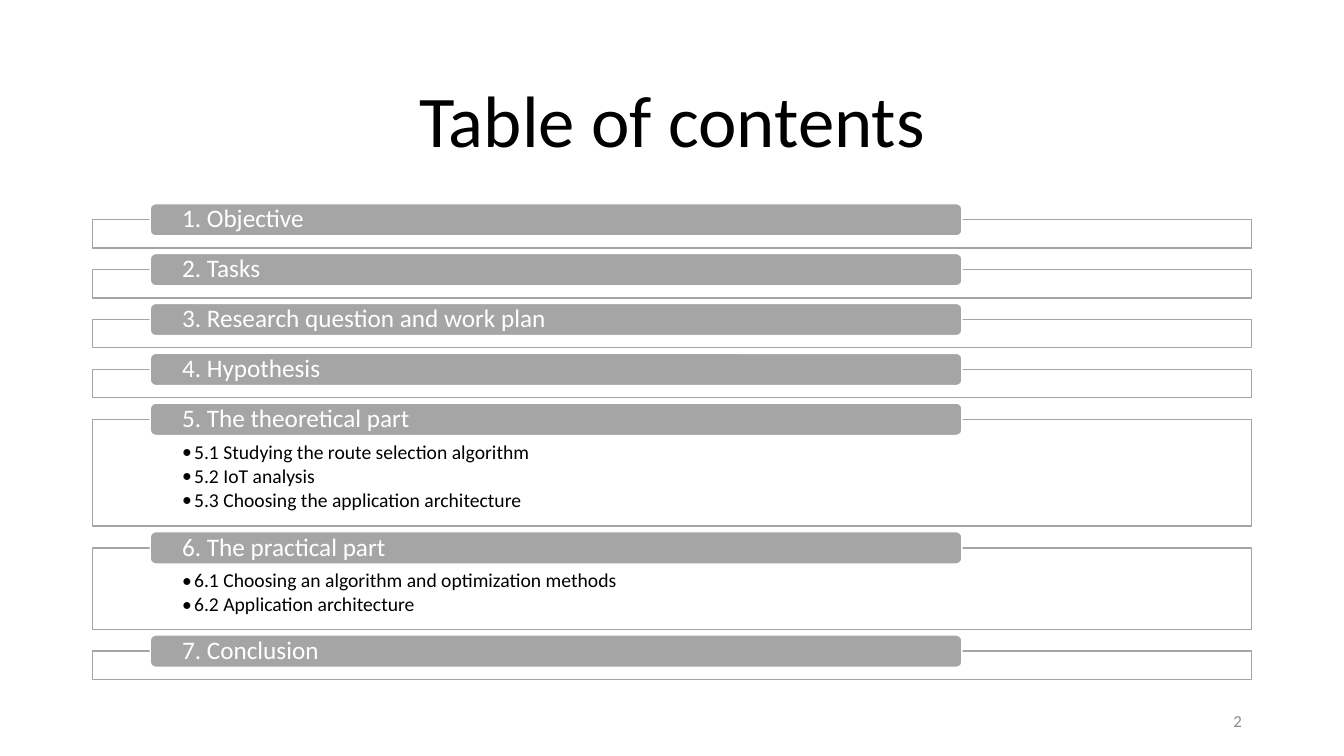
from dataclasses import dataclass

import pptx
import pptx.dml.color
import pptx.enum.shapes
import pptx.enum.text
import pptx.oxml
import pptx.oxml.ns
import pptx.util

Inches = pptx.util.Inches
Pt = pptx.util.Pt
RGBColor = pptx.dml.color.RGBColor
SHAPE = pptx.enum.shapes.MSO_SHAPE
ALIGN = pptx.enum.text.PP_ALIGN
ANCHOR = pptx.enum.text.MSO_ANCHOR


@dataclass(frozen=True)
class Theme:
    font: str = "Calibri"
    black: str = "000000"
    white: str = "FFFFFF"
    grey: str = "A5A5A5"
    number_grey: str = "8C8C8C"
    title_size: int = 52
    section_size: int = 18
    item_size: int = 14
    number_size: int = 12
    panel_opacity: int = 90


THEME = Theme()
SLIDE_WIDTH, SLIDE_HEIGHT = 13.33, 7.5
CONTENT_WIDTH = 11.5
MARGIN = (SLIDE_WIDTH - CONTENT_WIDTH) / 2

SECTIONS = [
    ("1. Objective", []),
    ("2. Tasks", []),
    ("3. Research question and work plan", []),
    ("4. Hypothesis", []),
    ("5. The theoretical part", [
        "5.1 Studying the route selection algorithm",
        "5.2 IoT analysis",
        "5.3 Choosing the application architecture",
    ]),
    ("6. The practical part", [
        "6.1 Choosing an algorithm and optimization methods",
        "6.2 Application architecture",
    ]),
    ("7. Conclusion", []),
]
# Panel height by number of items
PANEL_HEIGHTS = {0: 0.28, 2: 0.81, 3: 1.06}


def set_text(sp, lines, size, color, align=ALIGN.LEFT, anchor=ANCHOR.MIDDLE,
             insets=(0.1, 0.05, 0.1, 0.05), line_spacing=0.9):
    tf = sp.text_frame
    tf.word_wrap = True
    tf.vertical_anchor = anchor
    tf.margin_left, tf.margin_top, tf.margin_right, tf.margin_bottom = map(Inches, insets)
    tf.text = "\n".join(lines)
    for p in tf.paragraphs:
        p.alignment = align
        p.line_spacing = line_spacing
        for r in p.runs:
            r.font.name = THEME.font
            r.font.size = Pt(size)
            r.font.color.rgb = RGBColor.from_string(color)


def add_bullets(tf):
    ns = pptx.oxml.ns.nsdecls("a")
    for p in tf.paragraphs:
        p.space_after = Pt(2)
        pPr = p._p.get_or_add_pPr()
        pPr.set("marL", str(Inches(0.12)))
        pPr.set("indent", str(Inches(-0.12)))
        pPr.append(pptx.oxml.parse_xml(f'<a:buFont {ns} typeface="{THEME.font}"/>'))
        pPr.append(pptx.oxml.parse_xml(f'<a:buChar {ns} char="•"/>'))


def add_box(slide, kind, box, fill, line):
    sp = slide.shapes.add_shape(kind, *map(Inches, box))
    sp.shadow.inherit = False
    sp.fill.solid()
    sp.fill.fore_color.rgb = RGBColor.from_string(fill)
    sp.line.color.rgb = RGBColor.from_string(line)
    sp.line.width = Pt(1)
    return sp


def add_label(slide, box, lines, size, color, **layout):
    sp = slide.shapes.add_textbox(*map(Inches, box))
    set_text(sp, lines, size, color, **layout)
    return sp


def add_section(slide, box, heading, items):
    """Outlined panel with its items and a heading bar across the top edge."""
    left, top, width, height = box
    panel = add_box(slide, SHAPE.RECTANGLE, box, THEME.white, THEME.grey)
    color = panel.fill._xPr.find(".//" + pptx.oxml.ns.qn("a:srgbClr"))
    color.append(pptx.oxml.parse_xml(
        f'<a:alpha {pptx.oxml.ns.nsdecls("a")} val="{THEME.panel_opacity * 1000}"/>'))

    bar_box = (left + width * 0.05, top - 0.16, width * 0.7, 0.32)
    bar = add_box(slide, SHAPE.ROUNDED_RECTANGLE, bar_box, THEME.grey, THEME.white)
    set_text(bar, [heading], THEME.section_size, THEME.white, insets=(0.3, 0, 0.3, 0))

    if items:
        items_box = (left + 0.89, top + 0.23, width - 2 * 0.89, height - 0.23)
        sp = add_label(slide, items_box, items, THEME.item_size, THEME.black,
                       anchor=ANCHOR.TOP, insets=(0, 0, 0, 0))
        add_bullets(sp.text_frame)


def add_contents(slide, box, sections):
    """Stack the sections so that equal gaps fill the box."""
    left, top, width, height = box
    heights = [PANEL_HEIGHTS[len(items)] for _, items in sections]
    gap = (height - sum(heights)) / (len(sections) - 1)
    for (heading, items), panel_height in zip(sections, heights):
        add_section(slide, (left, top, width, panel_height), heading, items)
        top += panel_height + gap


def main():
    prs = pptx.Presentation()
    prs.slide_width = Inches(SLIDE_WIDTH)
    prs.slide_height = Inches(SLIDE_HEIGHT)
    slide = prs.slides.add_slide(prs.slide_layouts[6])
    add_label(slide, (MARGIN, 0.61, CONTENT_WIDTH, 1.24), ["Table of contents"],
              THEME.title_size, THEME.black, align=ALIGN.CENTER)
    add_contents(slide, (MARGIN, 2.18, CONTENT_WIDTH, 4.56), SECTIONS)
    add_label(slide, (MARGIN + CONTENT_WIDTH - 3, 6.95, 3, 0.4), ["2"],
              THEME.number_size, THEME.number_grey, align=ALIGN.RIGHT, line_spacing=1.0)
    prs.save("out.pptx")


if __name__ == "__main__":
    main()
